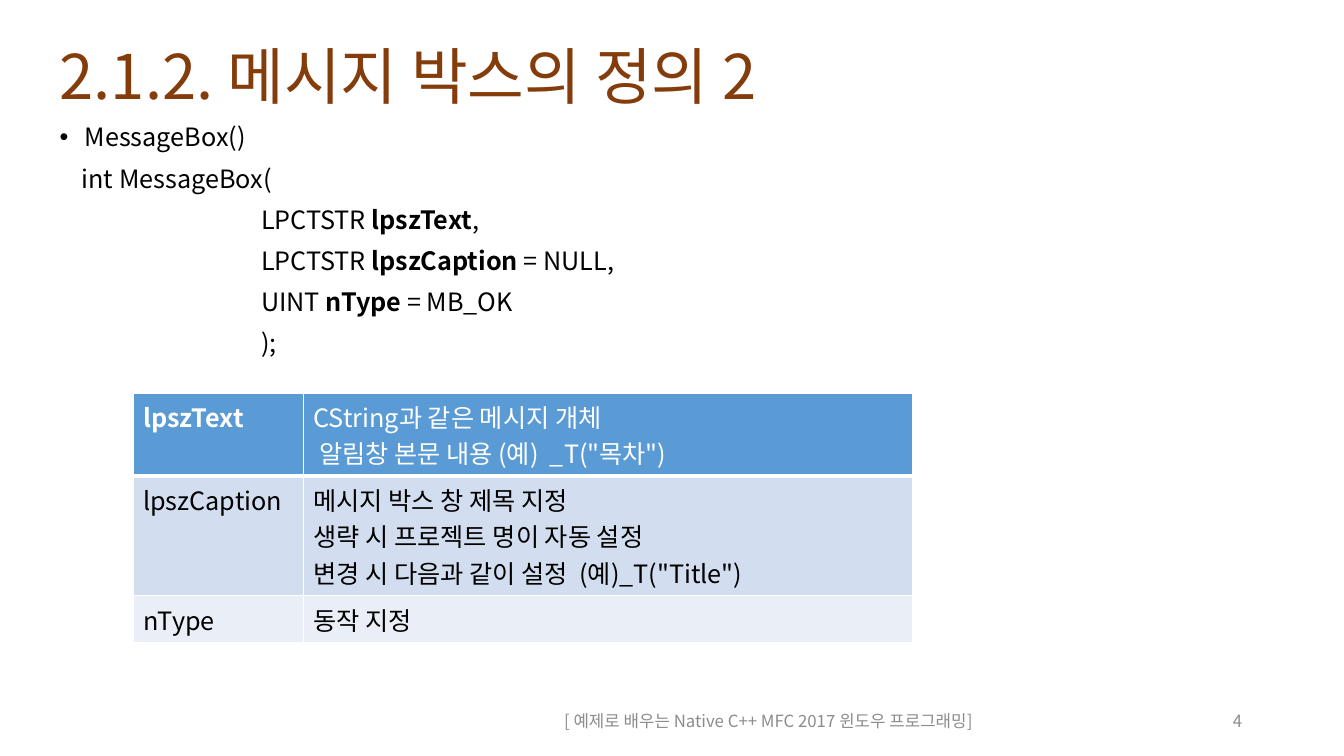
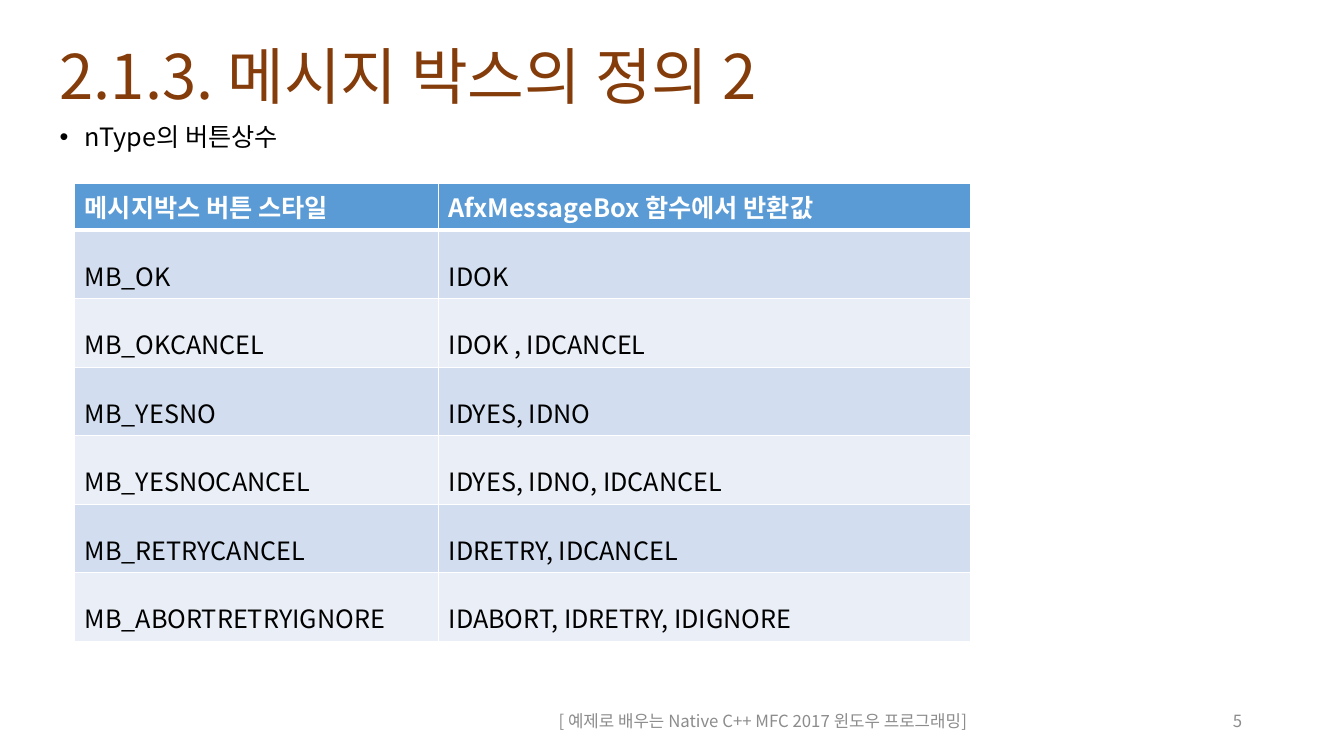
from lxml.etree import SubElement
from pptx import Presentation
from pptx.dml.color import RGBColor
from pptx.enum.text import MSO_ANCHOR, MSO_AUTO_SIZE, PP_ALIGN
from pptx.oxml.ns import qn
from pptx.util import Emu, Pt

EMU_PER_PX = 9144
FONT = "Noto Sans CJK KR"
BROWN, BLACK, WHITE, GRAY = "843C0B", "000000", "FFFFFF", "8C8C8C"
HEADER_FILL, BAND_FILLS = "5B9BD5", ("D2DEEF", "EAEFF7")
BOOK = "[ 예제로 배우는 Native C++ MFC 2017 윈도우 프로그래밍]"
BULLET_INDENT, CODE_INDENT, PARAMETER_INDENT = 25, 22, 200


def px(length):
    return Emu(length * EMU_PER_PX)


def color(hex_code):
    return RGBColor.from_string(hex_code)


class Deck:
    """Holds the shared style and the slide being filled."""

    def __init__(self):
        self.prs = Presentation()
        self.prs.slide_width, self.prs.slide_height = px(1333), px(750)
        self.slide = None

    def add_run(self, paragraph, text, size, hex_code, bold=False):
        run = paragraph.add_run()
        run.text = text
        font = run.font
        font.name, font.size, font.bold = FONT, Pt(size), bold
        font.color.rgb = color(hex_code)
        SubElement(font._element, qn("a:ea"), typeface=FONT)

    def next_paragraph(self, frame, index):
        return frame.add_paragraph() if index else frame.paragraphs[0]

    def place(self, shape, left, top, width, height):
        shape.left, shape.top = px(left), px(top)
        shape.width, shape.height = px(width), px(height)
        shape.text_frame.word_wrap = True
        shape.text_frame.auto_size = MSO_AUTO_SIZE.NONE

    def start_slide(self, title, number, footer_width):
        self.slide = self.prs.slides.add_slide(self.prs.slide_layouts[1])
        heading = self.slide.shapes.title
        self.place(heading, 49, 38, 940, 81)
        heading.text_frame.vertical_anchor = MSO_ANCHOR.MIDDLE
        line = heading.text_frame.paragraphs[0]
        line.alignment, line.line_spacing = PP_ALIGN.LEFT, 0.9
        self.add_run(line, title, 44, BROWN)
        self.footer(BOOK, 442, footer_width, PP_ALIGN.CENTER)
        self.footer(str(number), 942, 300, PP_ALIGN.RIGHT)

    def footer(self, text, left, width, alignment):
        box = self.slide.shapes.add_textbox(0, 0, 0, 0)
        self.place(box, left, 695, width, 40)
        box.text_frame.vertical_anchor = MSO_ANCHOR.MIDDLE
        line = box.text_frame.paragraphs[0]
        line.alignment = alignment
        self.add_run(line, text, 12, GRAY)

    def body(self, bullet, code=()):
        """A bulleted line, then code lines as (indent, plain, bold, plain)."""
        area = self.slide.placeholders[1]
        self.place(area, 49, 119, 1033, 542)
        lines = [(BULLET_INDENT, bullet, "", ""), *code]
        for index, (indent, before, strong, after) in enumerate(lines):
            line = self.next_paragraph(area.text_frame, index)
            line.line_spacing, line.space_before = 0.9, Pt(10)
            properties = line._p.get_or_add_pPr()
            properties.set("marL", str(px(indent)))
            if index:
                properties.set("indent", "0")
                SubElement(properties, qn("a:buNone"))
            else:
                properties.set("indent", str(-px(indent)))
                SubElement(properties, qn("a:buFont"), typeface="Arial")
                SubElement(properties, qn("a:buChar"), char="•")
            for text, bold in ((before, False), (strong, True), (after, False)):
                if text:
                    self.add_run(line, text, 18, BLACK, bold)

    def cell_borders(self, cell, top, bottom):
        properties = cell._tc.get_or_add_tcPr()
        for side, width in (("L", 1), ("R", 1), ("T", top), ("B", bottom)):
            border = SubElement(properties, qn(f"a:ln{side}"), w=str(Pt(width)))
            fill = SubElement(border, qn("a:solidFill"))
            SubElement(fill, qn("a:srgbClr"), val=WHITE)

    def table(self, left, top, widths, heights, rows, bold_headers,
              line_spacing=None, anchor=MSO_ANCHOR.TOP):
        """Draw rows of cell texts; a line break starts a new paragraph."""
        grid = self.slide.shapes.add_table(
            len(rows), len(widths), px(left), px(top),
            px(sum(widths)), px(sum(heights))).table
        grid.horz_banding = False
        for column, width in zip(grid.columns, widths):
            column.width = px(width)
        for r, (row, height) in enumerate(zip(rows, heights)):
            grid.rows[r].height = px(height)
            is_header = r == 0
            for c, text in enumerate(row):
                cell = grid.cell(r, c)
                self.cell_borders(cell, 3 if r == 1 else 1, 3 if is_header else 1)
                cell.fill.solid()
                cell.fill.fore_color.rgb = color(
                    HEADER_FILL if is_header else BAND_FILLS[(r - 1) % 2])
                cell.vertical_anchor = MSO_ANCHOR.TOP if is_header else anchor
                for index, content in enumerate(text.split("\n")):
                    line = self.next_paragraph(cell.text_frame, index)
                    if line_spacing and not is_header:
                        line.line_spacing = line_spacing
                    self.add_run(line, content, 18, WHITE if is_header else BLACK,
                                 is_header and c < bold_headers)


def message_box_definition(deck):
    deck.start_slide("2.1.2. 메시지 박스의 정의 2", 4, 640)
    deck.body("MessageBox()", [
        (CODE_INDENT, "int MessageBox(", "", ""),
        (PARAMETER_INDENT, "LPCTSTR ", "lpszText", ","),
        (PARAMETER_INDENT, "LPCTSTR ", "lpszCaption ", "= NULL,"),
        (PARAMETER_INDENT, "UINT ", "nType ", "= MB_OK"),
        (PARAMETER_INDENT, ");", "", ""),
    ])
    deck.table(132, 390, (169, 604), (81, 118, 46), [
        ("lpszText", "CString과 같은 메시지 개체\n 알림창 본문 내용 (예)  _T(\"목차\")"),
        ("lpszCaption", "메시지 박스 창 제목 지정\n생략 시 프로젝트 명이 자동 설정\n"
                        "변경 시 다음과 같이 설정  (예)_T(\"Title\")"),
        ("nType", "동작 지정"),
    ], bold_headers=1)


def button_constants(deck):
    deck.start_slide("2.1.3. 메시지 박스의 정의 2", 5, 629)
    deck.body("nType의 버튼상수")
    rows = [
        ("메시지박스 버튼 스타일", "AfxMessageBox 함수에서 반환값"),
        ("MB_OK", "IDOK"),
        ("MB_OKCANCEL", "IDOK , IDCANCEL"),
        ("MB_YESNO", "IDYES, IDNO"),
        ("MB_YESNOCANCEL", "IDYES, IDNO, IDCANCEL"),
        ("MB_RETRYCANCEL", "IDRETRY, IDCANCEL"),
        ("MB_ABORTRETRYIGNORE", "IDABORT, IDRETRY, IDIGNORE"),
    ]
    deck.table(74, 182, (361, 528), [46] + [68] * (len(rows) - 1), rows,
               bold_headers=2, line_spacing=1.6, anchor=MSO_ANCHOR.MIDDLE)


def main():
    deck = Deck()
    message_box_definition(deck)
    button_constants(deck)
    deck.prs.save("out.pptx")


if __name__ == "__main__":
    main()
